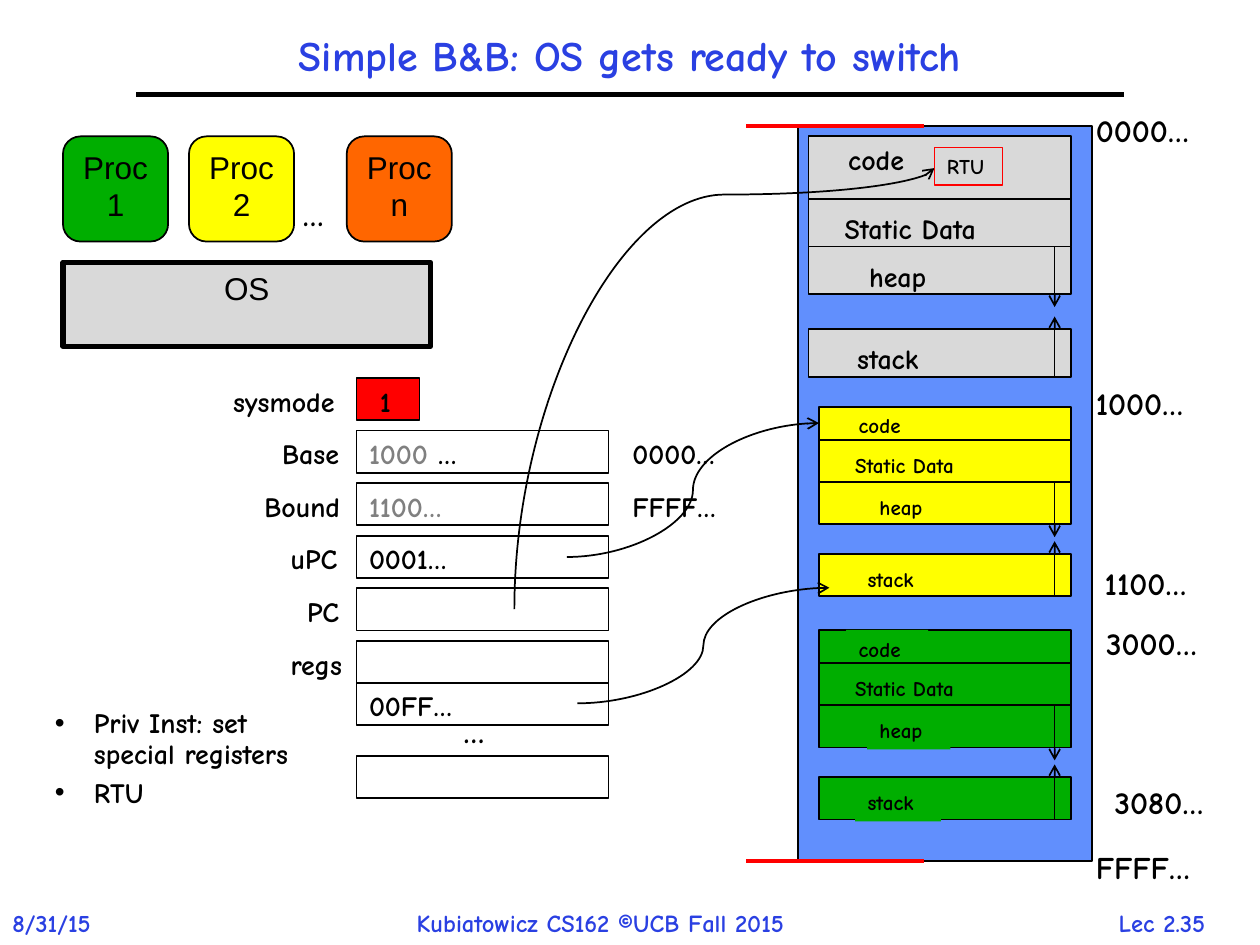
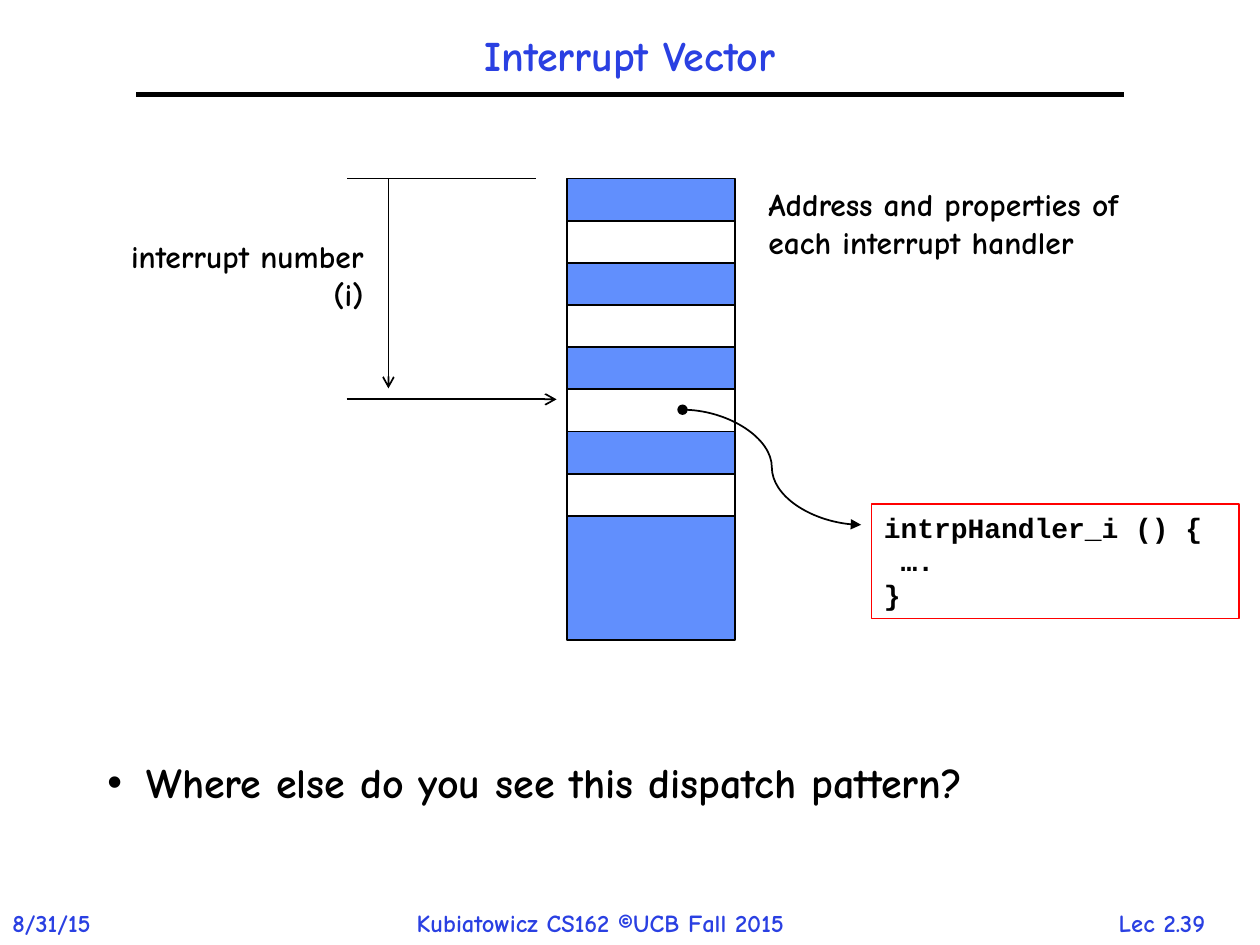
import pptx
import pptx.util
import pptx.dml.color
import pptx.enum.shapes
import pptx.enum.text
import pptx.oxml.ns
import pptx.oxml.xmlchemy

Cm, Pt = pptx.util.Cm, pptx.util.Pt
RGBColor = pptx.dml.color.RGBColor
OxmlElement = pptx.oxml.xmlchemy.OxmlElement
SHAPE = pptx.enum.shapes.MSO_SHAPE
CONNECTOR = pptx.enum.shapes.MSO_CONNECTOR
ALIGN = pptx.enum.text.PP_ALIGN
ANCHOR = pptx.enum.text.MSO_ANCHOR
AUTO_SIZE = pptx.enum.text.MSO_AUTO_SIZE

BLACK = RGBColor(0x00, 0x00, 0x00)
WHITE = RGBColor(0xFF, 0xFF, 0xFF)
TITLE_BLUE = RGBColor(0x2A, 0x40, 0xE2)
MEMORY_BLUE = RGBColor(0x61, 0x8F, 0xFD)
GREEN = RGBColor(0x00, 0xAE, 0x00)
YELLOW = RGBColor(0xFF, 0xFF, 0x00)
ORANGE = RGBColor(0xFF, 0x66, 0x00)
RED = RGBColor(0xFF, 0x00, 0x00)
LIGHT_GRAY = RGBColor(0xD9, 0xD9, 0xD9)
GRAY = RGBColor(0x80, 0x80, 0x80)
HAND_FONT = "Comic Neue"

DATE = "8/31/15"
FOOTER = "Kubiatowicz CS162 ©UCB Fall 2015"

SWITCH = {
    "title": "Simple B&B: OS gets ready to switch", "number": "Lec 2.35",
    "bullets": ["Priv Inst: set special registers", "RTU"],
    "body": (0.85, 14.18, 5.72, 2.96), "size": 16,
}
VECTOR = {
    "title": "Interrupt Vector", "number": "Lec 2.39",
    "bullets": ["Where else do you see this dispatch pattern?"],
    "body": (1.91, 15.24, 21.17, 2.33), "size": 24,
}

PROCESSES = [("Proc 1", 1.27, GREEN), ("Proc 2", 3.81, YELLOW), ("Proc n", 6.99, ORANGE)]

SEGMENT_LABELS = [("code", 0.55, 0, 1.65), ("Static Data", 0.48, 0.13, 2.97),
                  ("heap", 0.97, 0.13, 1.68), ("stack", 0.73, 0.13, 1.73)]
SPACES = [
    {"left": 16.3, "top": 2.75, "width": 5.29, "code": 1.26, "row": 0.96, "gap": 0.71,
     "size": 16, "color": LIGHT_GRAY, "filled": []},
    {"left": 16.51, "top": 8.2, "width": 5.08, "code": 0.67, "row": 0.85, "gap": 0.6,
     "size": 12, "color": YELLOW, "filled": ["Static Data"]},
    {"left": 16.51, "top": 12.7, "width": 5.08, "code": 0.67, "row": 0.85, "gap": 0.6,
     "size": 12, "color": GREEN, "filled": ["code", "Static Data", "heap", "stack"]},
]
GROWTH_X, GROWTH_REACH = 21.26, 0.26

ADDRESSES = [("0000…", 21.84, 2.11), ("FFFF…", 21.84, 16.97), ("1000…", 21.84, 7.62),
             ("1100…", 22.02, 11.25), ("3000…", 22.05, 12.45), ("3080…", 22.22, 15.67)]

REGISTER_LEFT, REGISTER_TOP, REGISTER_STEP = 7.19, 7.62, 1.06
REGISTER_WIDTH, REGISTER_HEIGHT, LABEL_RIGHT = 5.08, 0.85, 7.24
REGISTERS = [("sysmode", 2.79), ("Base", 1.8), ("Bound", 2.16),
             ("uPC", 1.63), ("PC", 1.3), ("regs", 1.63)]
EXTRA_REGISTER_TOPS = [13.76, 15.24]
REGISTER_VALUES = [("1", 7.41, 7.62, BLACK), ("1000 ", 7.19, 8.68, GRAY),
                   ("1100…", 7.19, 9.74, GRAY), ("0001…", 7.19, 10.8, BLACK),
                   ("00FF…", 7.19, 13.76, BLACK), ("0000…", 12.5, 8.68, BLACK),
                   ("FFFF…", 12.5, 9.74, BLACK)]
MEMORY = (16.09, 2.54, 5.93, 14.82)

VECTOR_LEFT, VECTOR_TOP, VECTOR_WIDTH, VECTOR_HEIGHT = 11.43, 3.6, 3.39, 9.31
SLOT_HEIGHT = 0.85
HANDLER = "intrpHandler_i () {\n ….\n}"


def set_font(paragraph, size, color=BLACK, name=HAND_FONT, bold=True):
    paragraph.font.name = name
    paragraph.font.size = Pt(size)
    paragraph.font.bold = bold
    paragraph.font.color.rgb = color


def fill_text(shape, text, size, color=BLACK, name=HAND_FONT, bold=True,
              align=ALIGN.LEFT, wrap=True, grow=False):
    frame = shape.text_frame
    frame.text = text
    frame.word_wrap = wrap
    frame.vertical_anchor = ANCHOR.TOP
    frame.auto_size = AUTO_SIZE.SHAPE_TO_FIT_TEXT if grow else AUTO_SIZE.NONE
    for paragraph in frame.paragraphs:
        paragraph.alignment = align
        set_font(paragraph, size, color, name, bold)


def add_label(shapes, text, left, top, width, height, size,
              color=BLACK, align=ALIGN.LEFT, wrap=False):
    box = shapes.add_textbox(Cm(left), Cm(top), Cm(width), Cm(height))
    fill_text(box, text, size, color, align=align, wrap=wrap, grow=True)
    return box


def add_box(shapes, left, top, width, height, fill=None, line=BLACK, weight=1,
            kind=SHAPE.RECTANGLE):
    shape = shapes.add_shape(kind, Cm(left), Cm(top), Cm(width), Cm(height))
    shape.shadow.inherit = False
    if fill is None:
        shape.fill.background()
    else:
        shape.fill.solid()
        shape.fill.fore_color.rgb = fill
    shape.line.color.rgb = line
    shape.line.width = Pt(weight)
    return shape


def add_line(shapes, start, end, color=BLACK, weight=1, head=None, tail=None,
             kind=CONNECTOR.STRAIGHT):
    connector = shapes.add_connector(kind, Cm(start[0]), Cm(start[1]), Cm(end[0]), Cm(end[1]))
    connector.line.color.rgb = color
    connector.line.width = Pt(weight)
    properties = connector._element.spPr
    line = properties.find(pptx.oxml.ns.qn("a:ln"))
    for tag, arrow in (("a:headEnd", head), ("a:tailEnd", tail)):
        if arrow:
            element = OxmlElement(tag)
            element.set("type", arrow)
            line.append(element)
    properties.append(OxmlElement("a:effectLst"))
    return connector


def turn_curve(connector, degrees, bend):
    properties = connector._element.spPr
    properties.find(pptx.oxml.ns.qn("a:xfrm")).set("rot", str(degrees * 60000))
    geometry = properties.find(pptx.oxml.ns.qn("a:prstGeom"))
    guide = OxmlElement("a:gd")
    guide.set("name", "adj1")
    guide.set("fmla", f"val {round(bend * 100000)}")
    geometry.get_or_add_avLst().append(guide)


def place(shape, left, top, width, height):
    shape.left, shape.top, shape.width, shape.height = Cm(left), Cm(top), Cm(width), Cm(height)


def add_slide(presentation, content):
    slide = presentation.slides.add_slide(presentation.slide_layouts[1])
    shapes = slide.shapes
    add_label(shapes, content["number"], 21.89, 18.19, 3.07, 0.86, 14, TITLE_BLUE, ALIGN.CENTER)
    add_label(shapes, DATE, 0, 18.19, 2.54, 0.86, 14, TITLE_BLUE)
    add_label(shapes, FOOTER, 8.15, 18.19, 9.17, 0.86, 14, TITLE_BLUE)
    add_line(shapes, (2.75, 1.91), (22.65, 1.91), weight=3)

    title = shapes.title
    place(title, 2.75, 0.42, 19.9, 1.48)
    fill_text(title, content["title"], 24, TITLE_BLUE, align=ALIGN.CENTER)
    title.text_frame.vertical_anchor = ANCHOR.MIDDLE
    title.text_frame.paragraphs[0].line_spacing = 0.9

    body = slide.placeholders[1]
    place(body, *content["body"])
    fill_text(body, "\n".join(content["bullets"]), content["size"])
    for paragraph in body.text_frame.paragraphs:
        paragraph.line_spacing = 0.9
        paragraph.space_before = Pt(round(content["size"] * 0.3))
        properties = paragraph._p.get_or_add_pPr()
        properties.set("marL", str(Cm(0.79)))
        properties.set("indent", str(-Cm(0.79)))
    return slide


def add_address_space(slide, space):
    shapes = slide.shapes.add_group_shape().shapes
    row = space["row"]
    static_top = space["top"] + space["code"]
    heap_top = static_top + row
    heap_bottom = heap_top + row
    stack_top = heap_bottom + space["gap"]
    segments = [(space["top"], space["code"]), (static_top, row), (heap_top, row), (stack_top, row)]
    for (top, height), (text, inset, drop, width) in zip(segments, SEGMENT_LABELS):
        add_box(shapes, space["left"], top, space["width"], height, space["color"])
        label = add_label(shapes, text, space["left"] + inset, top + drop,
                          width * space["size"] / 12, 0.76, space["size"])
        if text in space["filled"]:
            label.fill.solid()
            label.fill.fore_color.rgb = space["color"]
    for start, end in ((stack_top + row, stack_top - GROWTH_REACH),
                       (heap_top, heap_bottom + GROWTH_REACH)):
        add_line(shapes, (GROWTH_X, start), (GROWTH_X, end), tail="arrow")


def add_registers(shapes):
    for index, (name, label_width) in enumerate(REGISTERS):
        top = REGISTER_TOP + index * REGISTER_STEP
        is_mode = name == "sysmode"
        add_box(shapes, REGISTER_LEFT, top, 1.27 if is_mode else REGISTER_WIDTH,
                REGISTER_HEIGHT, RED if is_mode else None)
        add_label(shapes, name, LABEL_RIGHT - label_width, top, label_width, 0.94, 16)
    for top in EXTRA_REGISTER_TOPS:
        add_box(shapes, REGISTER_LEFT, top, REGISTER_WIDTH, REGISTER_HEIGHT)
    for text, left, top, color in REGISTER_VALUES:
        width = 0.84 if text == "1" else 2.4
        value = add_label(shapes, text, left, top, width, 0.94, 16, color)
        if text.endswith(" "):
            run = value.text_frame.paragraphs[0].add_run()
            run.text = "…"
            run.font.color.rgb = BLACK


def build_switch(presentation):
    slide = add_slide(presentation, SWITCH)
    shapes = slide.shapes
    system = add_box(shapes, 1.27, 5.29, 7.41, 1.69, LIGHT_GRAY, weight=3)
    fill_text(system, "OS", 18, name="Arial", bold=False, align=ALIGN.CENTER)
    for name, left, color in PROCESSES:
        process = add_box(shapes, left, 2.75, 2.12, 2.12, color, kind=SHAPE.ROUNDED_RECTANGLE)
        fill_text(process, name, 18, name="Arial", bold=False, align=ALIGN.CENTER)
    for left, top in ((5.85, 3.81), (9.09, 14.22)):
        add_label(shapes, "…", left, top, 1.14, 1.02, 18)

    add_box(shapes, *MEMORY, MEMORY_BLUE)
    for space in SPACES:
        add_address_space(slide, space)
    for text, left, top in ADDRESSES:
        add_label(shapes, text, left, top, 2.6, 1.02, 18)
    add_registers(shapes)

    for limit in (MEMORY[1], MEMORY[1] + MEMORY[3]):
        add_line(shapes, (15.04, limit), (18.62, limit), RED, 2.25)
    counter = add_line(shapes, (19.05, 12.07), (10.16, 3.6), tail="arrow", kind=CONNECTOR.CURVE)
    turn_curve(counter, 90, 0.94)
    for start, end in (((11.43, 11.23), (16.51, 8.53)), ((11.64, 14.18), (16.72, 11.85))):
        add_line(shapes, start, end, tail="arrow", kind=CONNECTOR.CURVE)
    return_box = add_box(shapes, 18.84, 2.97, 1.37, 0.76, line=RED, weight=0.75)
    fill_text(return_box, "RTU", 12, wrap=False, grow=True)


def build_vector(presentation):
    shapes = add_slide(presentation, VECTOR).shapes
    add_box(shapes, VECTOR_LEFT, VECTOR_TOP, VECTOR_WIDTH, VECTOR_HEIGHT, MEMORY_BLUE)
    for slot in range(1, 8, 2):
        add_box(shapes, VECTOR_LEFT, VECTOR_TOP + slot * SLOT_HEIGHT,
                VECTOR_WIDTH, SLOT_HEIGHT, WHITE)
    add_line(shapes, (10.8, VECTOR_TOP), (6.99, VECTOR_TOP))
    add_line(shapes, (7.83, VECTOR_TOP), (7.83, 7.83), tail="arrow")
    add_label(shapes, "interrupt number\n(i)", 2.33, 4.66, 5.25, 1.8, 18, align=ALIGN.RIGHT)
    add_line(shapes, (6.99, 8.05), (11.22, 8.05), tail="arrow")
    add_line(shapes, (13.76, 8.26), (17.36, 10.58), head="oval", tail="triangle",
             kind=CONNECTOR.CURVE)
    handler = add_box(shapes, 17.57, 10.16, 7.41, 2.31, line=RED, weight=0.75)
    fill_text(handler, HANDLER, 16, name="Courier New", grow=True)
    add_label(shapes, "Address and properties of each interrupt handler",
              15.24, VECTOR_TOP, 7.62, 1.8, 18, wrap=True)


def main():
    presentation = pptx.Presentation()
    presentation.slide_width = Cm(25.4)
    presentation.slide_height = Cm(19.05)
    build_switch(presentation)
    build_vector(presentation)
    presentation.save("out.pptx")


if __name__ == "__main__":
    main()
